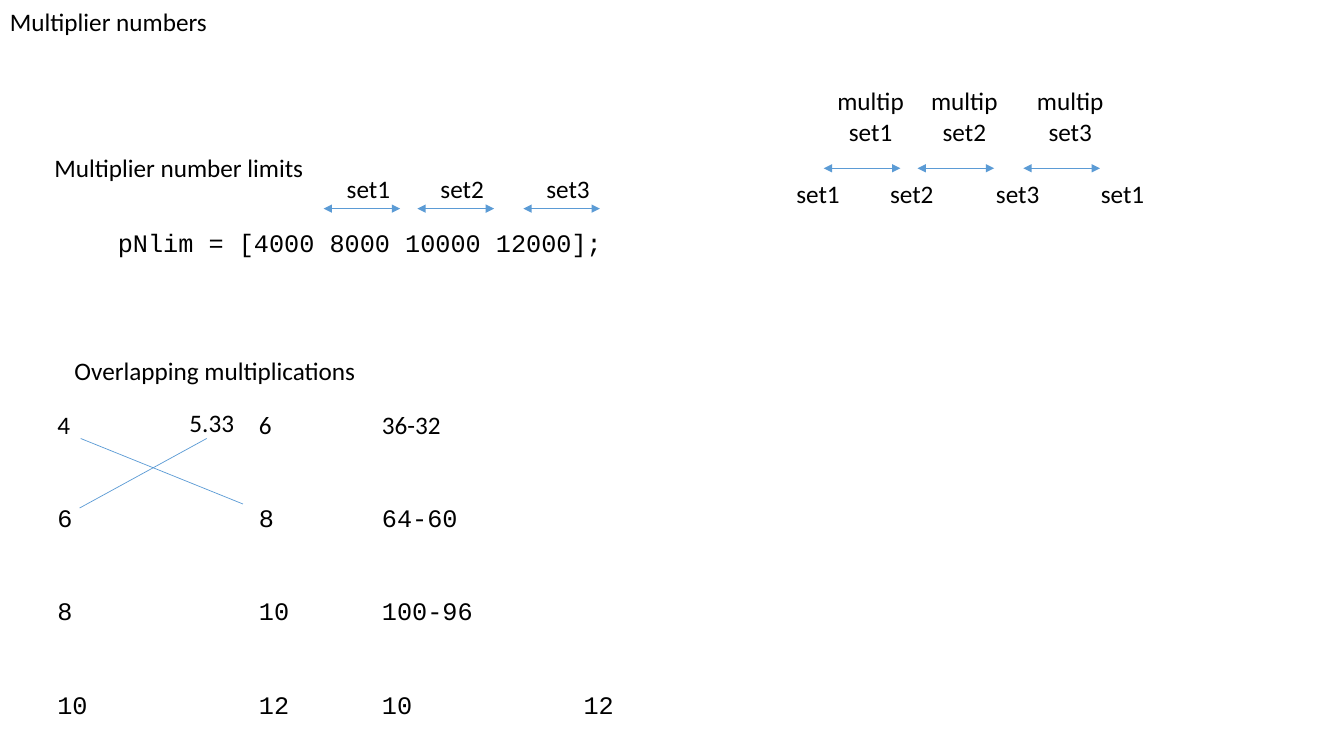
from dataclasses import dataclass

from lxml import etree
from pptx import Presentation
from pptx import util as u
from pptx.dml.color import RGBColor
from pptx.enum import shapes, text
from pptx.oxml import ns


@dataclass(frozen=True)
class Theme:
    ink: RGBColor = RGBColor(0, 0, 0)
    accent: RGBColor = RGBColor(0x5B, 0x9B, 0xD5)
    size: u.Pt = u.Pt(18)
    rule: u.Pt = u.Pt(0.5)
    row_gap: u.Pt = u.Pt(45)
    body: str = "Calibri"
    code: str = "Courier New"


THEME = Theme()
CELL = u.Inches(0.1)
LABEL_HEIGHT = 4
SET_WIDTH = 6.4
ARROW_LENGTH = 7.6
SET_OFFSETS = (0, 9.3, 19.8, 30.2)


def cells(*counts):
    return [round(count * CELL) for count in counts]


def add_label(slide, wording, col, row, width, height=LABEL_HEIGHT, font=THEME.body,
              align=text.PP_ALIGN.LEFT, wrap=False):
    label = slide.shapes.add_textbox(*cells(col, row, width, height))
    frame = label.text_frame
    frame.text = wording
    frame.word_wrap = wrap
    for line in frame.paragraphs:
        line.alignment = align
        for run in line.runs:
            run.font.name = font
            run.font.size = THEME.size
            run.font.color.rgb = THEME.ink
    return frame


def add_rule(slide, start, end, arrows=False):
    rule = slide.shapes.add_connector(shapes.MSO_CONNECTOR.STRAIGHT, *cells(*start, *end))
    rule.line.color.rgb = THEME.accent
    rule.line.width = THEME.rule
    if arrows:
        outline = rule.line._get_or_add_ln()
        for tip in ("a:headEnd", "a:tailEnd"):
            etree.SubElement(outline, ns.qn(tip), type="triangle")
    etree.SubElement(rule._element.spPr, ns.qn("a:effectLst"))


def add_set_arrow(slide, col, row):
    add_rule(slide, (col, row), (col + ARROW_LENGTH, row), arrows=True)


def add_number_column(slide, rows, col):
    frame = add_label(slide, "\n".join(rows), col, 40.1, 29, 31.3, THEME.code, wrap=True)
    for line in frame.paragraphs[1:]:
        line.space_before = THEME.row_gap
    for line in frame.paragraphs:
        stops = etree.SubElement(line._p.get_or_add_pPr(), ns.qn("a:tabLst"))
        for inch in (1, 2):
            etree.SubElement(stops, ns.qn("a:tab"), pos=str(u.Inches(inch)), algn="l")
    for run in frame.paragraphs[0].runs:
        run.font.name = THEME.body


def add_limits(slide):
    add_label(slide, "Multiplier number limits", 4.4, 14.6, 27)
    add_label(slide, "pNlim = [4000 8000 10000 12000];", 10.7, 22.1, 60, font=THEME.code)
    for number, offset in enumerate(SET_OFFSETS[:3], 1):
        add_set_arrow(slide, 32.1 + offset, 20.7)
        add_label(slide, f"set{number}", 33.4 + offset, 16.7, SET_WIDTH)


def add_multiplier_sets(slide):
    for offset, name in zip(SET_OFFSETS, ("set1", "set2", "set3", "set1")):
        add_label(slide, name, 78 + offset, 17.2, SET_WIDTH)
    for number, offset in enumerate(SET_OFFSETS[:3], 1):
        add_label(slide, f"multip\nset{number}", 81.7 + offset, 8, 9.3, 7.1,
                  align=text.PP_ALIGN.CENTER)
        add_set_arrow(slide, 81.7 + offset, 16.7)


def add_overlaps(slide):
    add_label(slide, "Overlapping multiplications", 6.4, 34.8, 30.2)
    add_number_column(slide, ("4\t\t6", "6\t\t8", "8\t\t10", "10\t\t12"), 4.7)
    add_number_column(slide, ("36-32", "64-60", "100-96", "10\t\t12"), 36.9)
    add_rule(slide, (7.9, 50.4), (20.5, 43.5))
    add_rule(slide, (8, 43.5), (24.1, 50))
    add_label(slide, "5.33", 17.8, 39.9, 6.5)


def main():
    deck = Presentation()
    deck.slide_width, deck.slide_height = u.Inches(13.33), u.Inches(7.5)
    slide = deck.slides.add_slide(deck.slide_layouts[6])
    add_label(slide, "Multiplier numbers", 0, 0.1, 21.8)
    add_limits(slide)
    add_multiplier_sets(slide)
    add_overlaps(slide)
    deck.save("out.pptx")


main()
